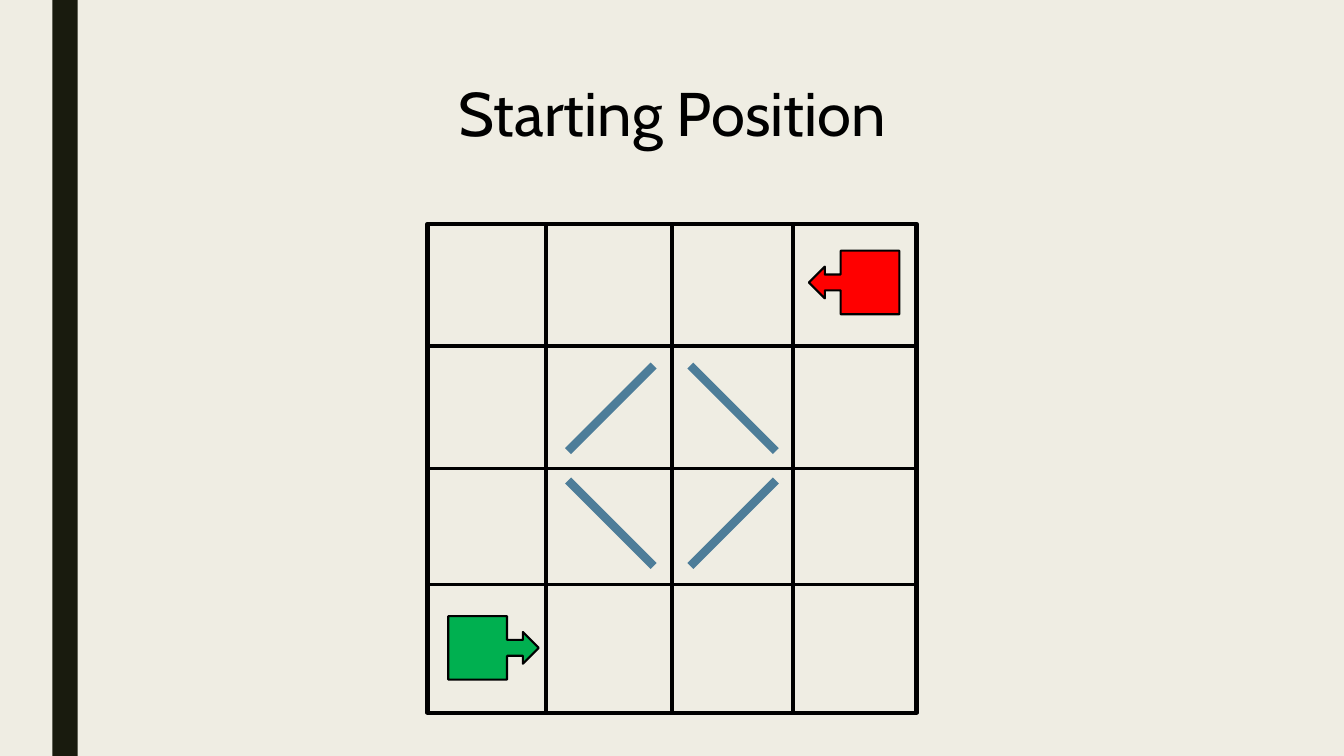
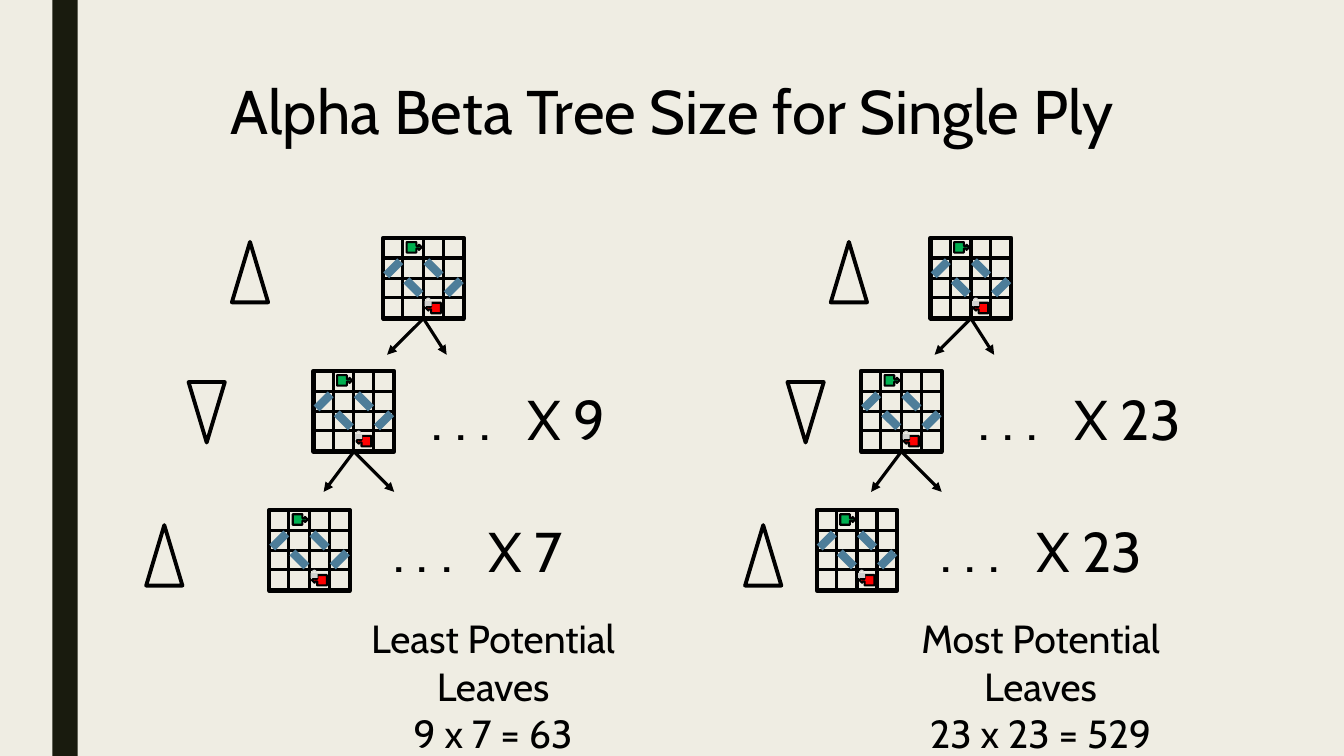
from dataclasses import dataclass

from lxml import etree
from pptx import Presentation
from pptx.dml.color import RGBColor
from pptx.enum.shapes import MSO_CONNECTOR, MSO_SHAPE
from pptx.enum.text import MSO_ANCHOR, PP_ALIGN
from pptx.oxml.ns import qn
from pptx.util import Inches, Pt

RECTANGLE = MSO_SHAPE.RECTANGLE
TRIANGLE = MSO_SHAPE.ISOSCELES_TRIANGLE
CALLOUT = MSO_SHAPE.RIGHT_ARROW_CALLOUT
BLOCK_ARC = MSO_SHAPE.BLOCK_ARC
STRAIGHT = MSO_CONNECTOR.STRAIGHT
TOP, MIDDLE = MSO_ANCHOR.TOP, MSO_ANCHOR.MIDDLE
LEFT, CENTER = PP_ALIGN.LEFT, PP_ALIGN.CENTER


@dataclass(frozen=True)
class Theme:
    background: str = "EFEDE3"
    band: str = "191B0E"
    ink: str = "000000"
    wall: str = "4D7D99"
    green: str = "00B050"
    red: str = "FF0000"
    lock: str = "D1D1CF"
    font: str = "Cabin"
    title_size: float = 44
    count_size: float = 40
    caption_size: float = 28
    border_width: float = 3
    triangle_width: float = 2.75
    line_width: float = 2.25
    robot_width: float = 1.5
    wall_width: float = 6


@dataclass(frozen=True)
class BoardState:
    """Cells are (column, row); a wall also says whether it rises to the right."""
    green: tuple
    red: tuple
    walls: tuple
    locked: bool = False


START = BoardState((0, 3), (3, 0), (
    (1, 1, True), (2, 1, False), (1, 2, False), (2, 2, True)))
MIDGAME = BoardState((1, 0), (2, 3), (
    (0, 1, True), (2, 1, False), (1, 2, False), (3, 2, True)), locked=True)

# Board geometry, measured in cells
COLUMN_LINES = (0.97, 2, 2.99)
ROW_LINES = (1, 2, 2.95)
WALL_INSET = 0.15
WALL_TOPS = {1: 1.16, 2: 2.1}
WALL_SPAN = 0.7
ROBOT_SIZE = (0.74, 0.52)

# Left tree; the right tree is the same, moved sideways
TREE_SHIFT = 5.43
TRIANGLE_SHIFT = 5.94
MINI_BOARD = 0.8
BOARD_PLACES = ((3.8, 2.36), (3.11, 3.68), (2.67, 5.06))
TRIANGLE_PLACES = ((2.3, 2.4, 0), (1.87, 3.79, 180), (1.45, 5.21, 0))
ARROW_STEPS = (((-0.36, 0.36), (0.23, 0.36)), ((-0.3, 0.4), (0.4, 0.4)))
COUNT_PLACES = ((4.18, 3.77), (3.8, 5.08))
COUNT_TAB = 0.95


class Deck:
    def __init__(self, theme):
        self.theme = theme
        self.presentation = Presentation()
        self.presentation.slide_width = Inches(13.33)
        self.presentation.slide_height = Inches(7.5)
        self.slide = None

    def add_slide(self, title, title_top):
        layout = self.presentation.slide_layouts[6]
        self.slide = self.presentation.slides.add_slide(layout)
        fill = self.slide.background.fill
        fill.solid()
        fill.fore_color.rgb = RGBColor.from_string(self.theme.background)
        self.shape(RECTANGLE, (0.52, 0, 0.25, 7.5), fill=self.theme.band)
        box = (0.92, title_top, 11.5, 1.45)
        self.text(box, [title], self.theme.title_size, CENTER, MIDDLE, line_spacing=0.9)

    def shape(self, kind, box, fill=None, width=None, rotation=0, group=None):
        shapes = (group or self.slide).shapes
        shape = shapes.add_shape(kind, *map(Inches, box))
        shape.shadow.inherit = False
        shape.rotation = rotation
        if fill:
            shape.fill.solid()
            shape.fill.fore_color.rgb = RGBColor.from_string(fill)
        else:
            shape.fill.background()
        if width:
            self.stroke(shape.line, self.theme.ink, width)
        else:
            shape.line.fill.background()

    def stroke(self, line, color, width):
        line.color.rgb = RGBColor.from_string(color)
        line.width = Pt(width)

    def line(self, start, end, color=None, width=None, arrow=False, group=None):
        shapes = (group or self.slide).shapes
        connector = shapes.add_connector(STRAIGHT, *map(Inches, (*start, *end)))
        self.stroke(connector.line, color or self.theme.ink, width or self.theme.line_width)
        properties = connector._element.spPr
        if arrow:
            outline = properties.find(qn("a:ln"))
            etree.SubElement(outline, qn("a:tailEnd"), type="triangle")
        etree.SubElement(properties, qn("a:effectLst"))

    def text(self, box, lines, size, alignment=LEFT, anchor=TOP, tab=None, line_spacing=None):
        frame = self.slide.shapes.add_textbox(*map(Inches, box)).text_frame
        frame.word_wrap = True
        frame.vertical_anchor = anchor
        for index, content in enumerate(lines):
            paragraph = frame.add_paragraph() if index else frame.paragraphs[0]
            paragraph.text = content
            if tab:
                tabs = etree.SubElement(paragraph._p.get_or_add_pPr(), qn("a:tabLst"))
                etree.SubElement(tabs, qn("a:tab"), pos=str(Inches(tab)), algn="l")
            paragraph.alignment = alignment
            if line_spacing:
                paragraph.line_spacing = line_spacing
            font = paragraph.runs[0].font
            formats = {"name": self.theme.font, "size": Pt(size)}
            for name, value in formats.items():
                setattr(font, name, value)
            font.color.rgb = RGBColor.from_string(self.theme.ink)

    def board(self, left, top, size, state):
        theme = self.theme
        cell = size / 4
        group = self.slide.shapes.add_group_shape()

        def point(column, row):
            return left + column * cell, top + row * cell

        def place(column, row, width, height):
            return (*point(column, row), width * cell, height * cell)

        self.shape(RECTANGLE, (left, top, size, size), width=theme.border_width, group=group)
        for column in COLUMN_LINES:
            self.line(point(column, 0), point(column, 4), group=group)
        for row in ROW_LINES:
            self.line(point(0, row), point(4, row), group=group)
        for column, row, rising in state.walls:
            near, upper = column + WALL_INSET, WALL_TOPS[row]
            far, lower = near + WALL_SPAN, upper + WALL_SPAN
            start, end = (lower, upper) if rising else (upper, lower)
            self.line(point(near, start), point(far, end), theme.wall,
                      theme.wall_width, group=group)

        column, row = state.green
        self.shape(CALLOUT, place(column + 0.17, row + 0.21, *ROBOT_SIZE),
                   theme.green, theme.robot_width, group=group)
        column, row = state.red
        self.shape(CALLOUT, place(column + 0.12, row + 0.22, *ROBOT_SIZE),
                   theme.red, theme.robot_width, 180, group)
        if state.locked:
            self.shape(BLOCK_ARC, place(column + 0.11, row - 0.04, 0.25, 0.25),
                       theme.lock, group=group)
            self.shape(RECTANGLE, place(column + 0.06, row + 0.12, 0.35, 0.25),
                       theme.lock, group=group)

    def tree(self, side, counts, caption):
        """Draw one search tree; side 0 is left and side 1 is right."""
        shift = side * TREE_SHIFT
        for left, top in BOARD_PLACES:
            self.board(left + shift, top, MINI_BOARD, MIDGAME)
        for (left, top), steps in zip(BOARD_PLACES, ARROW_STEPS):
            x, y = left + shift + MINI_BOARD / 2, top + MINI_BOARD
            for across, down in steps:
                self.line((x, y), (x + across, y + down), arrow=True)
        for (left, top), count in zip(COUNT_PLACES, counts):
            self.text((left + shift, top, 2.4, 0.77), [f". . .\tX {count}"],
                      self.theme.count_size, tab=COUNT_TAB)
        for left, top, rotation in TRIANGLE_PLACES:
            self.shape(TRIANGLE, (left + side * TRIANGLE_SHIFT, top, 0.36, 0.6),
                       width=self.theme.triangle_width, rotation=rotation)
        self.text((3.04 + shift, 6.05, 3.7, 1.04), caption,
                  self.theme.caption_size, CENTER)


def main():
    deck = Deck(Theme())
    deck.add_slide("Starting Position", 0.43)
    deck.board(4.24, 2.22, 4.85, START)

    deck.add_slide("Alpha Beta Tree Size for Single Ply", 0.41)
    deck.tree(0, (9, 7), ["Least Potential Leaves", "9 x 7 = 63"])
    deck.tree(1, (23, 23), ["Most Potential Leaves", "23 x 23 = 529"])
    deck.presentation.save("out.pptx")


if __name__ == "__main__":
    main()
